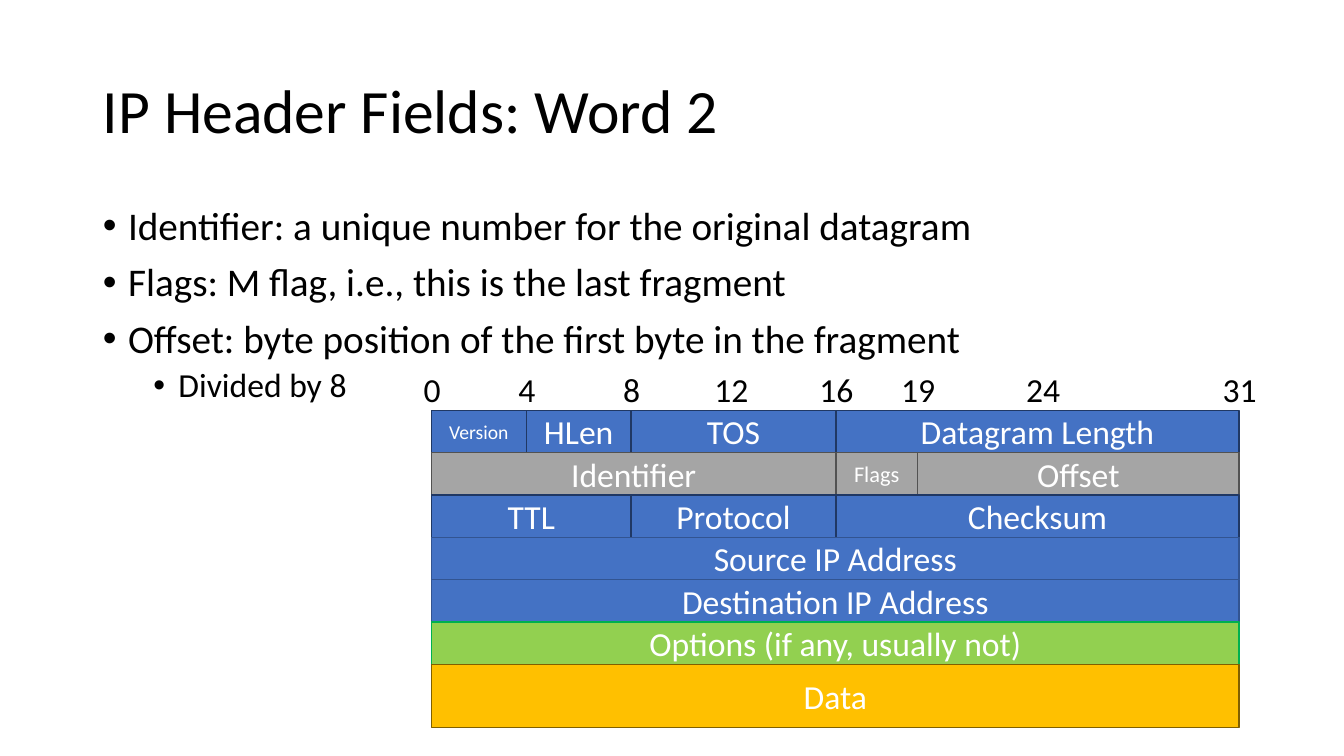
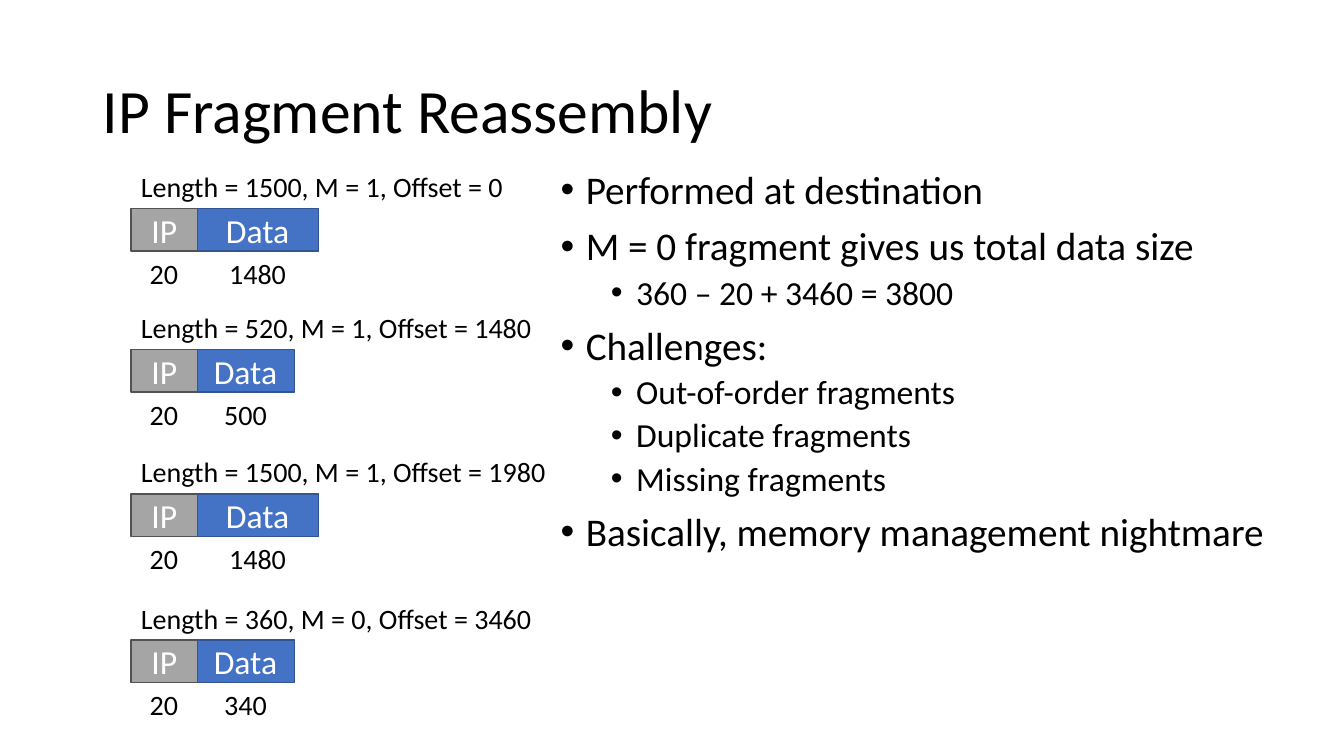
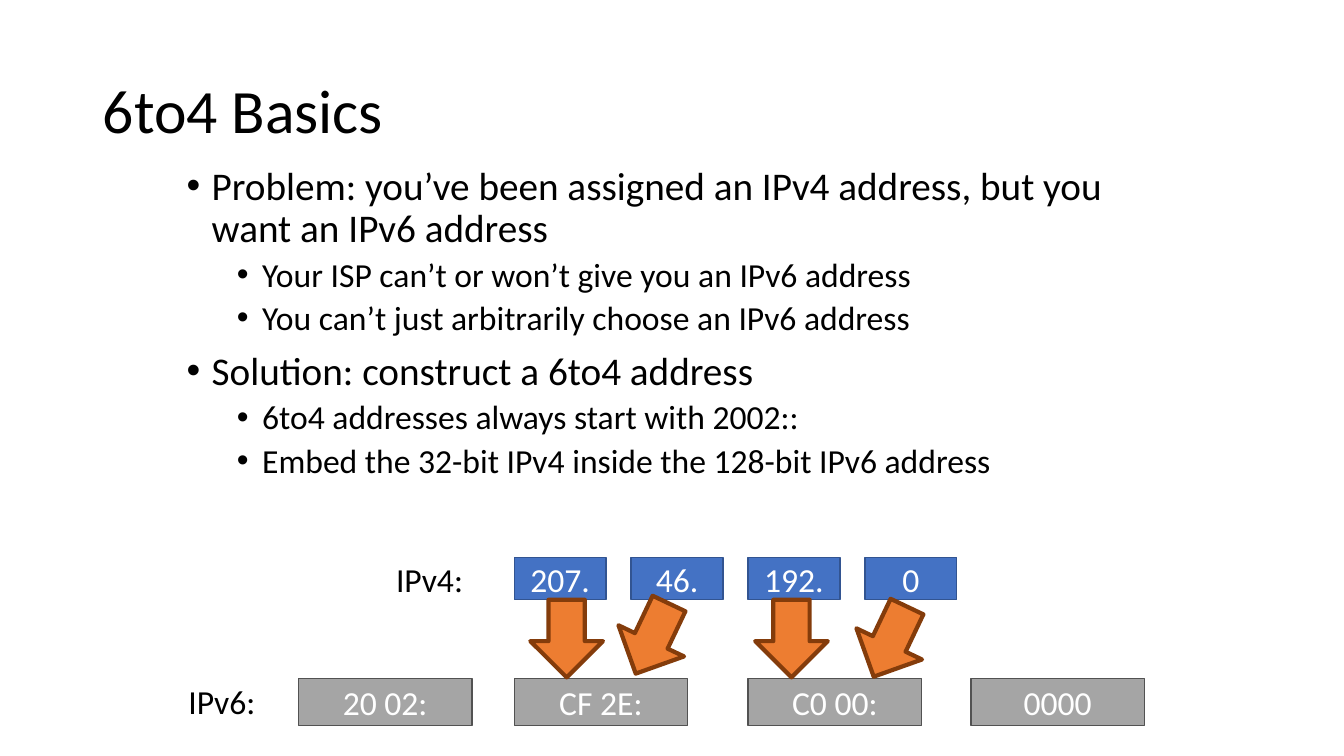
from lxml.etree import SubElement as Sub
from pptx import Presentation
from pptx.dml.color import RGBColor as Rgb
from pptx.enum.shapes import MSO_SHAPE as Shape
from pptx.enum.text import MSO_ANCHOR as Anchor, MSO_AUTO_SIZE as Fit, PP_ALIGN as Align
from pptx.oxml.ns import qn
from pptx.util import Inches, Pt

FONT = "Calibri"
HUES = {
    "black": "000000", "white": "FFFFFF",
    "blue": "4472C4", "navy": "203864", "steel": "325491",
    "gray": "A5A5A5", "slate": "525252",
    "lime": "92D050", "green": "00B050",
    "gold": "FFC000", "olive": "806000",
    "orange": "ED7D31", "brown": "843C0B",
}
ROW = 0.42

deck = Presentation()
deck.slide_width, deck.slide_height = Inches(13.33), Inches(7.5)


def add_page(title, area, items):
    page = deck.slides.add_slide(deck.slide_layouts[1])
    head, body = page.shapes.title, page.placeholders[1]
    entries = [(head, 0, title, 44)]
    entries += [(body, level, text, 24 if level else 28) for level, text in items]
    for holder, spot in ((head, (0.92, 0.4, 11.5, 1.45)), (body, area)):
        holder.left, holder.top, holder.width, holder.height = map(Inches, spot)
        holder.text_frame.auto_size = Fit.NONE
    head.text_frame.vertical_anchor = Anchor.MIDDLE
    for holder, level, text, size in entries:
        frame = holder.text_frame
        para = frame.paragraphs[0]
        if para.runs:
            para = frame.add_paragraph()
        para.level = level
        para.alignment = Align.LEFT
        para.line_spacing = 0.9
        run = para.add_run()
        run.text = text
        run.font.name, run.font.size = FONT, Pt(size)
        run.font.color.rgb = Rgb.from_string(HUES["black"])
        if holder is body:
            para.space_before = Pt(5 if level else 10)
            props = para._p.get_or_add_pPr()
            props.set("marL", str(Inches(0.25 + 0.5 * level)))
            props.set("indent", str(Inches(-0.25)))
            Sub(props, qn("a:buChar")).set("char", "•")
    return page


def add_box(page, spot, text="", size=24, fill=None, line=None,
            align=Align.CENTER, kind=Shape.RECTANGLE, weight=1):
    spot = [Inches(n) for n in spot]
    if fill:
        box = page.shapes.add_shape(kind, *spot)
        box.shadow.inherit = False
        box.fill.solid()
        box.fill.fore_color.rgb = Rgb.from_string(HUES[fill])
        box.line.color.rgb = Rgb.from_string(HUES[line])
        box.line.width = Pt(weight)
    else:
        box = page.shapes.add_textbox(*spot)
    if text:
        frame = box.text_frame
        frame.word_wrap = True
        frame.vertical_anchor = Anchor.MIDDLE
        para = frame.paragraphs[0]
        para.alignment = align
        run = para.add_run()
        run.text = text
        run.font.name, run.font.size = FONT, Pt(size)
        run.font.color.rgb = Rgb.from_string(HUES["white" if fill else "black"])
    return box


page = add_page("IP Header Fields: Word 2", (0.92, 2, 11.5, 4.76), [
    (0, "Identifier: a unique number for the original datagram"),
    (0, "Flags: M flag, i.e., this is the last fragment"),
    (0, "Offset: byte position of the first byte in the fragment"),
    (1, "Divided by 8"),
])
edges = {0: 4.28, 4: 5.22, 8: 6.26, 12: 7.25, 16: 8.29, 19: 9.1, 24: 10.34, 31: 12.29}
for bit, x in edges.items():
    add_box(page, (x - 0.32, 3.53, 0.65, 0.66), str(bit))
words = [
    ("blue", "navy", [(0, 4, "Version", 14), (4, 8, "HLen", 24),
                      (8, 16, "TOS", 24), (16, 31, "Datagram Length", 24)]),
    ("gray", "slate", [(0, 16, "Identifier", 24), (16, 19, "Flags", 16),
                       (19, 31, "Offset", 24)]),
    ("blue", "navy", [(0, 8, "TTL", 24), (8, 16, "Protocol", 24),
                      (16, 31, "Checksum", 24)]),
    ("blue", "steel", [(0, 31, "Source IP Address", 24)]),
    ("blue", "steel", [(0, 31, "Destination IP Address", 24)]),
    ("lime", "green", [(0, 31, "Options (if any, usually not)", 24)]),
    ("gold", "olive", [(0, 31, "Data", 24)]),
]
for i, (fill, line, fields) in enumerate(words):
    high = 0.63 if fill == "gold" else ROW
    for start, end, text, size in fields:
        x = edges[start]
        add_box(page, (x, 4.07 + ROW * i, edges[end] - x, high), text, size, fill, line)

page = add_page("IP Fragment Reassembly", (5.46, 1.64, 7.27, 5.6), [
    (0, "Performed at destination"),
    (0, "M = 0 fragment gives us total data size"),
    (1, "360 – 20 + 3460 = 3800"),
    (0, "Challenges:"),
    (1, "Out-of-order fragments"),
    (1, "Duplicate fragments"),
    (1, "Missing fragments"),
    (0, "Basically, memory management nightmare"),
])
parts = [(2.07, 1.21, 1480, 1, 0), (3.47, 0.97, 500, 1, 1480),
         (4.9, 1.21, 1480, 1, 1980), (6.35, 0.97, 340, 0, 3460)]
for y, wide, size, more, start in parts:
    note = f"Length = {size + 20}, M = {more}, Offset = {start}"
    add_box(page, (1.3, y - 0.44, 4.7, 0.44), note, 20, align=Align.LEFT)
    add_box(page, (1.95, y, wide, ROW), "Data", 24, "blue", "steel")
    add_box(page, (1.3, y, 0.66, ROW), "IP", 24, "gray", "slate")
    add_box(page, (1.37, y + ROW, 0.51, 0.44), "20", 20)
    add_box(page, (1.95, y + ROW, wide, 0.44), str(size), 20)

page = add_page("6to4 Basics", (1.75, 1.6, 9.67, 3.72), [
    (0, "Problem: you’ve been assigned an IPv4 address, but you want an IPv6 address"),
    (1, "Your ISP can’t or won’t give you an IPv6 address"),
    (1, "You can’t just arbitrarily choose an IPv6 address"),
    (0, "Solution: construct a 6to4 address"),
    (1, "6to4 addresses always start with 2002::"),
    (1, "Embed the 32-bit IPv4 inside the 128-bit IPv6 address"),
])
for i, text in enumerate(["207.", "46.", "192.", "0"]):
    add_box(page, (5.1 + 1.16 * i, 5.53, 0.91, ROW), text, 24, "blue", "steel")
for x, text in [(2.96, "20 02:"), (5.1, "CF 2E:"), (7.42, "C0 00:"), (9.63, "0000")]:
    add_box(page, (x, 6.73, 1.72, 0.47), text, 24, "gray", "slate")
for x, y, text in [(3.83, 5.49, "IPv4:"), (1.77, 6.71, "IPv6:")]:
    add_box(page, (x, y, 0.97, 0.5), text, align=Align.LEFT)
for x, y, turn in [(5.26, 5.95, 180), (7.49, 5.95, 180),
                   (6.11, 5.95, 205.4), (8.47, 5.98, 205.4)]:
    arrow = add_box(page, (x, y, 0.72, 0.77), fill="orange", line="brown",
                    kind=Shape.UP_ARROW, weight=3)
    arrow.rotation = turn

deck.save("out.pptx")
